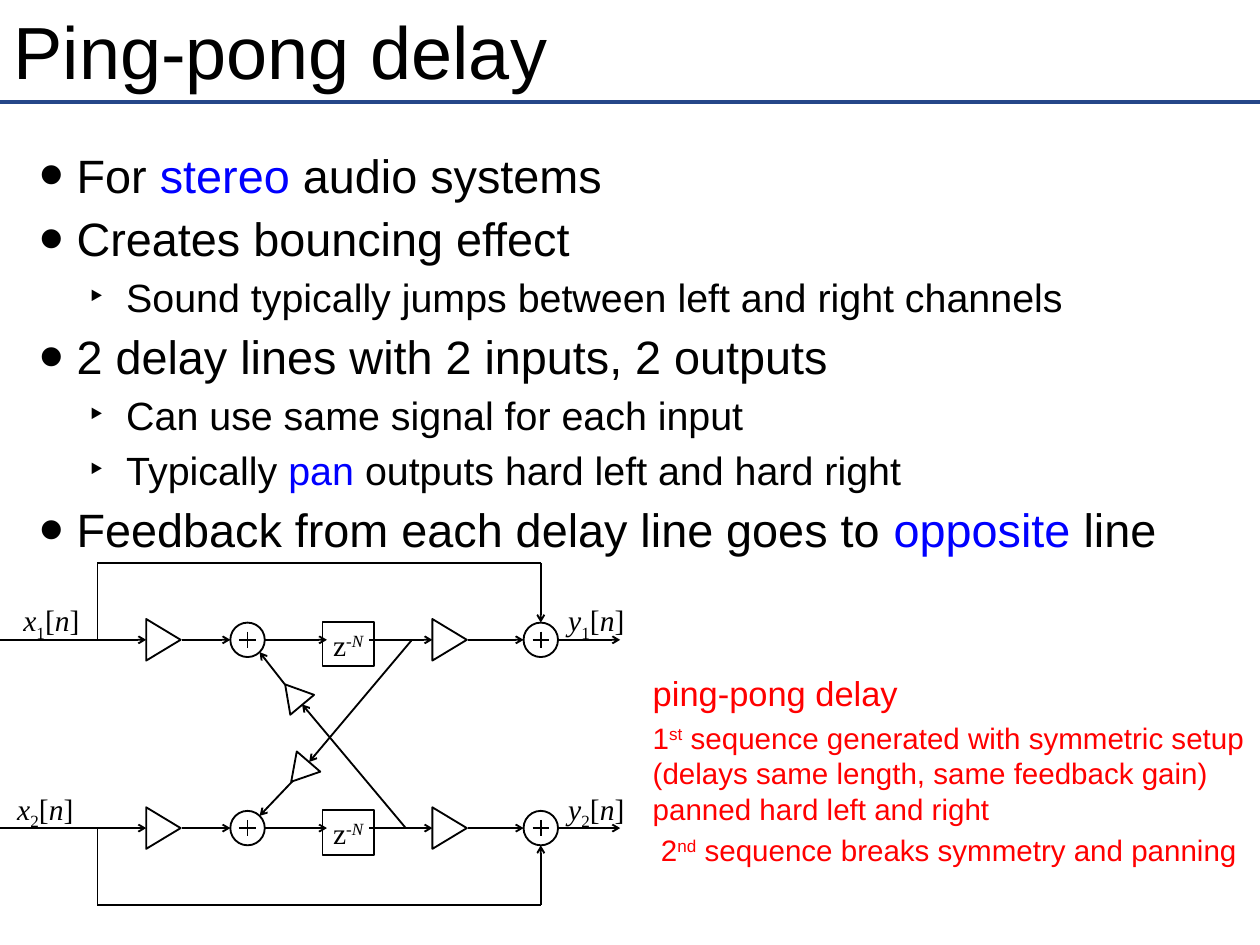
from dataclasses import dataclass

from pptx import Presentation
from pptx.dml.color import RGBColor
from pptx.enum import shapes, text
from pptx.oxml import ns, xmlchemy
from pptx.util import Pt


@dataclass(frozen=True)
class Theme:
    ink: str = "000000"
    key: str = "0000FF"
    note: str = "FF0000"
    rule: str = "254789"
    sans: str = "Arial"
    serif: str = "Times New Roman"
    title: int = 60
    main: int = 38
    sub: int = 32
    head: int = 28
    small: int = 24
    thin: float = 1.5
    thick: float = 3


T = Theme()
KEY = {"color": T.key}
ITALIC = {"italic": True}
LOW = {"base": -25}
HIGH = {"base": 30}

# Points of the list: level and pieces
LIST = [
    (0, ["For ", ("stereo", KEY), " audio systems"]),
    (0, ["Creates bouncing effect"]),
    (1, ["Sound typically jumps between left and right channels"]),
    (0, ["2 delay lines with 2 inputs, 2 outputs"]),
    (1, ["Can use same signal for each input"]),
    (1, ["Typically ", ("pan", KEY), " outputs hard left and hard right"]),
    (0, ["Feedback from each delay line goes to ", ("opposite", KEY), " line"]),
]

# Remarks: type size and pieces
NOTES = [
    (T.head, ["ping-pong delay"]),
    (T.small, ["1", ("st", HIGH), " sequence generated with symmetric setup "
               "(delays same length, same feedback gain) "
               "panned hard left and right"]),
    (T.small, [" 2", ("nd", HIGH), " sequence breaks symmetry and panning"]),
]

# Centre lines of the two channels, and columns of the diagram
ROWS = (520, 673)
GAINS = (132.8, 365.4)
SUMS = (201.2, 439.5)
WIRES = [(0, 118.8), (147.6, 187.2), (215.3, 265.7),
         (300.2, 351.4), (380.2, 425.5), (453.6, 504)]
RING = 28
TAP = 79.2


# Text
def write(para, parts, size=T.small, font=T.sans, color=T.ink):
    for part in parts:
        words, look = (part, {}) if isinstance(part, str) else part
        run = para.add_run()
        run.text = words
        run.font.size = Pt(size)
        run.font.name = font
        run.font.italic = look.get("italic", False)
        run.font.color.rgb = RGBColor.from_string(look.get("color", color))
        if "base" in look:
            run._r.get_or_add_rPr().set("baseline", str(look["base"] * 1000))


def place(shape, left, top, width, height):
    shape.left, shape.top = Pt(left), Pt(top)
    shape.width, shape.height = Pt(width), Pt(height)


def fit(frame, pad):
    frame.margin_left = frame.margin_right = Pt(pad)
    frame.margin_top = frame.margin_bottom = Pt(pad)
    frame.vertical_anchor = text.MSO_ANCHOR.MIDDLE
    frame.auto_size = text.MSO_AUTO_SIZE.NONE


def paras(frame, count):
    return [frame.paragraphs[0]] + [frame.add_paragraph() for _ in range(count - 1)]


def bullet(para, level):
    para.level = level
    props = para._p.get_or_add_pPr()
    props.set("marL", str(Pt((49.7, 90)[level])))
    props.set("indent", str(Pt(-30.2)))
    for tag, name, value in (("a:buSzPct", "val", ("150000", "100000")[level]),
                             ("a:buFont", "typeface", T.sans),
                             ("a:buChar", "char", "•‣"[level])):
        item = xmlchemy.OxmlElement(tag)
        item.set(name, value)
        props.append(item)


# Lines and shapes
def link(slide, start, end, arrow=False, color=T.ink, width=T.thin):
    line = slide.shapes.add_connector(
        shapes.MSO_CONNECTOR.STRAIGHT, *map(Pt, start), *map(Pt, end))
    line.line.color.rgb = RGBColor.from_string(color)
    line.line.width = Pt(width)
    if arrow:
        tip = xmlchemy.OxmlElement("a:tailEnd")
        tip.set("type", "arrow")
        line.line._get_or_add_ln().append(tip)
    line._element.find(ns.qn("p:spPr")).append(xmlchemy.OxmlElement("a:effectLst"))


def block(slide, kind, mid, width, height, turn=0):
    x, y = mid
    shape = slide.shapes.add_shape(
        kind, Pt(x - width / 2), Pt(y - height / 2), Pt(width), Pt(height))
    shape.rotation = turn
    shape.shadow.inherit = False
    shape.fill.background()
    shape.line.color.rgb = RGBColor.from_string(T.ink)
    shape.line.width = Pt(T.thin)
    return shape


def gain(slide, mid, width=33.8, height=28, turn=90):
    block(slide, shapes.MSO_SHAPE.ISOSCELES_TRIANGLE, mid, width, height, turn)


def adder(slide, x, y):
    block(slide, shapes.MSO_SHAPE.OVAL, (x, y), RING, RING)
    arm = 6.6
    link(slide, (x - arm, y), (x + arm, y))
    link(slide, (x, y - arm), (x, y + arm))


def center(frame, parts):
    frame.word_wrap = False
    frame.paragraphs[0].alignment = text.PP_ALIGN.CENTER
    write(frame.paragraphs[0], parts, font=T.serif)


def delay(slide, x, y):
    box = block(slide, shapes.MSO_SHAPE.RECTANGLE, (x, y), 41.8, 36)
    center(box.text_frame, ["z", ("-", HIGH), ("N", HIGH | ITALIC)])


def label(slide, left, top, name, index):
    box = slide.shapes.add_textbox(Pt(left), Pt(top), Pt(62), Pt(36))
    center(box.text_frame, [(name, ITALIC), (index, LOW), "[", ("n", ITALIC), "]"])


# One channel: wires, gains, sums, delay and bypass
def channel(slide, index, y, side, left):
    for start, end in WIRES:
        link(slide, (start, y), (end, y), arrow=True)
    for x in GAINS:
        gain(slide, (x, y))
    for x in SUMS:
        adder(slide, x, y)
    delay(slide, 283, y + 3.6)
    label(slide, left, y - 34, "x", index)
    label(slide, 453.6, y - 34, "y", index)
    edge, out = y + side * 62.5, SUMS[1]
    link(slide, (TAP, y), (TAP, edge))
    link(slide, (TAP, edge), (out, edge))
    link(slide, (out, edge), (out, y + side * RING / 2), arrow=True)


# Feedback path from one channel to the other
def cross(slide, tap, inlet, mid, turn, outlet, goal):
    link(slide, tap, inlet, arrow=True)
    gain(slide, mid, 25.2, 21.6, turn)
    link(slide, outlet, goal, arrow=True)


def main():
    deck = Presentation()
    deck.slide_width, deck.slide_height = Pt(1024), Pt(768)
    slide = deck.slides.add_slide(deck.slide_layouts[1])

    # Title and rule
    link(slide, (0, 83), (1024, 83), color=T.rule, width=T.thick)
    title = slide.shapes.title
    place(title, 7, 4, 1009, 73)
    fit(title.text_frame, 4)
    para = title.text_frame.paragraphs[0]
    para.alignment = text.PP_ALIGN.LEFT
    write(para, ["Ping-pong delay"], size=T.title)

    # List
    body = slide.placeholders[1]
    place(body, 8.6, 89.3, 1003.7, 393)
    fit(body.text_frame, 4)
    for row, para in enumerate(paras(body.text_frame, len(LIST))):
        level, parts = LIST[row]
        bullet(para, level)
        para.space_before = Pt(6 if row else 0)
        write(para, parts, size=(T.main, T.sub)[level])

    # Remarks
    box = slide.shapes.add_textbox(Pt(523.4), Pt(543), Pt(500.4), Pt(169))
    box.text_frame.word_wrap = True
    for row, para in enumerate(paras(box.text_frame, len(NOTES))):
        size, parts = NOTES[row]
        para.space_before = Pt(size * 0.2 if row else 0)
        write(para, parts, size=size, color=T.note)

    # Diagram
    top, low = ROWS
    channel(slide, "1", top, -1, 10.8)
    channel(slide, "2", low, 1, 5.8)
    cross(slide, (329.8, low), (245.5, 572.4), (238.7, 564.5), 320.1,
          (231.8, 556.6), (211, 530))
    cross(slide, (334.8, top), (251.3, 619.2), (243.7, 627.1), 220.7,
          (237.6, 635), (211, 663))

    deck.save("out.pptx")


if __name__ == "__main__":
    main()
